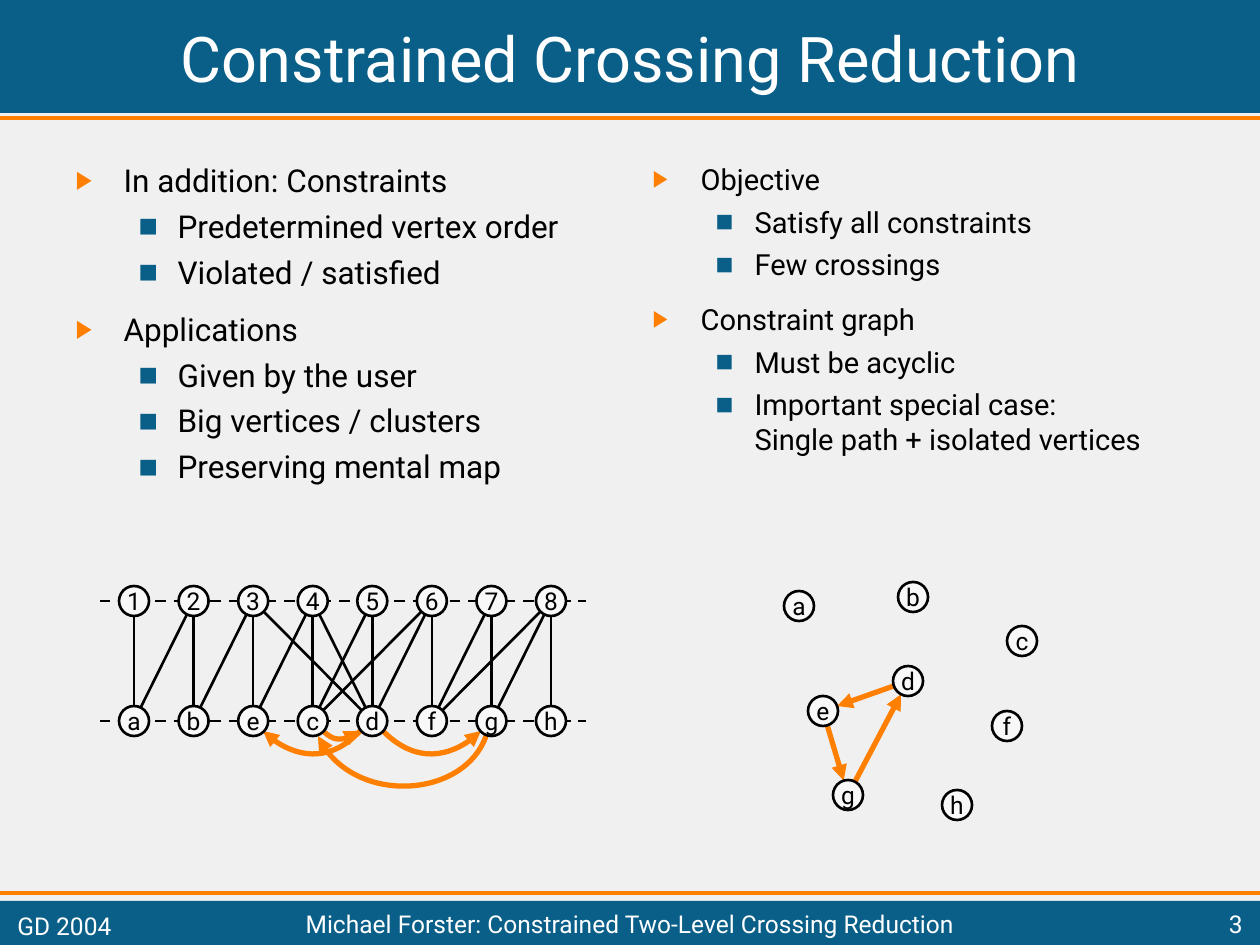
from math import hypot

from lxml.etree import SubElement
from pptx import Presentation
from pptx.dml.color import RGBColor
from pptx.enum.dml import MSO_LINE_DASH_STYLE as Dash
from pptx.enum.shapes import MSO_CONNECTOR as Link, MSO_SHAPE as Kind
from pptx.enum.text import MSO_ANCHOR as Anchor, MSO_AUTO_SIZE as Fit, PP_ALIGN as Align
from pptx.oxml.ns import qn
from pptx.util import Emu, Pt

BLUE = RGBColor(0x0A, 0x5F, 0x89)
ORANGE = RGBColor(0xFF, 0x7F, 0x00)
BLACK = RGBColor(0, 0, 0)
WHITE = RGBColor(0xFF, 0xFF, 0xFF)
PALE = RGBColor(0xF0, 0xF0, 0xF0)
LIGHT = RGBColor(0xF8, 0xF8, 0xF8)
FONT = "Roboto"
SCALE = 914400 / 126
WIDE, HIGH = 1260, 945

TITLE = "Constrained Crossing Reduction"
LISTS = [
    (63, 18, [
        (0, "In addition: Constraints"),
        (1, "Predetermined vertex order"),
        (1, "Violated / satisfied"),
        (0, "Applications"),
        (1, "Given by the user"),
        (1, "Big vertices / clusters"),
        (1, "Preserving mental map"),
    ]),
    (640, 16.6, [
        (0, "Objective"),
        (1, "Satisfy all constraints"),
        (1, "Few crossings"),
        (0, "Constraint graph"),
        (1, "Must be acyclic"),
        (1, "Important special case:\nSingle path + isolated vertices"),
    ]),
]
LEVELS = [
    ("▶", ORANGE, 80, 48, 48, 11.2),
    ("■", BLUE, 65, 102, 39, 4.5),
]
FOOTER = [
    ("GD 2004", (5, 906, 199, 39), Align.LEFT),
    ("Michael Forster: Constrained Two-Level Crossing Reduction",
     (164, 906, 932, 35), Align.CENTER),
    ("3", (1106, 906, 149, 35), Align.RIGHT),
]
BANDS = [(0, 113), (901, 44)]
RULES = [118, 893]

UPPER, LOWER = "12345678", "abecdfgh"
TOP, BASE = 601, 721
FIRST, LAST, RADIUS = 134, 551, 15
EDGES = "1a 2a 2b 3b 3e 3d 4e 4c 4d 5c 5d 6c 6d 6f 7f 7g 8f 8g 8h".split()
CURVES = [
    [(360, 731), (333, 760), (292, 760), (263, 731)],
    [(323, 731), (334, 741), (349, 741), (360, 731)],
    [(383, 731), (412, 760), (452, 760), (481, 731)],
    [(486, 736), (465, 796), (350, 806), (318, 736)],
]
GRAPH = {
    "a": (799, 606), "b": (913, 597), "c": (1022, 641), "d": (908, 681),
    "e": (823, 711), "f": (1007, 726), "g": (848, 795), "h": (957, 805),
}
ARCS = ["de", "eg", "gd"]


def px(n):
    return Emu(round(n * SCALE))


def write(para, text, size, color):
    for i, part in enumerate(text.split("\n")):
        if i:
            para.add_line_break()
        run = para.add_run()
        run.text = part
        run.font.name, run.font.size = FONT, Pt(size)
        run.font.color.rgb = color


def place(shape, *box):
    shape.left, shape.top, shape.width, shape.height = map(px, box)


def ink(shape, color, width, arrow=False):
    shape.line.color.rgb = color
    shape.line.width = Pt(width)
    if arrow:
        SubElement(shape.line._get_or_add_ln(), qn("a:tailEnd"), type="triangle")


def line(start, end, color, width, arrow=False):
    link = shapes.add_connector(Link.STRAIGHT, *map(px, start + end))
    ink(link, color, width, arrow)
    SubElement(link._element.spPr, qn("a:effectLst"))
    return link


def curve(points):
    pen = shapes.build_freeform(*points[0], scale=SCALE)
    pen.add_line_segments(points[1:], close=False)
    shape = pen.convert_to_shape()
    shape.shadow.inherit = False
    shape.fill.background()
    ink(shape, ORANGE, 3, True)
    route = shape._element.find(".//" + qn("a:path"))
    bend = SubElement(route, qn("a:cubicBezTo"))
    for step in route.findall(qn("a:lnTo")):
        bend.append(step[0])
        route.remove(step)


def node(name, spot):
    x, y = spot
    dot = shapes.add_shape(Kind.OVAL, *map(px, (x - RADIUS, y - RADIUS, 2 * RADIUS, 2 * RADIUS)))
    dot.shadow.inherit = False
    dot.fill.solid()
    dot.fill.fore_color.rgb = LIGHT
    ink(dot, BLACK, 1.5)
    frame = dot.text_frame
    frame.word_wrap = False
    frame.vertical_anchor = Anchor.MIDDLE
    frame.paragraphs[0].alignment = Align.CENTER
    write(frame.paragraphs[0], name, 14, BLACK)


def fill_list(body, size, items):
    frame = body.text_frame
    frame.auto_size = Fit.NONE
    for i, (level, text) in enumerate(items):
        para = frame.add_paragraph() if i else frame.paragraphs[0]
        mark, color, share, left, hang, gap = LEVELS[level]
        para.level = level
        props = para._p.get_or_add_pPr()
        props.set("marL", str(px(left)))
        props.set("indent", str(-px(hang)))
        tint = SubElement(props, qn("a:buClr"))
        SubElement(tint, qn("a:srgbClr"), val=str(color))
        SubElement(props, qn("a:buSzPct"), val=str(share * 1000))
        SubElement(props, qn("a:buFont"), typeface=FONT)
        SubElement(props, qn("a:buChar"), char=mark)
        para.space_before = Pt(gap if i else 0)
        write(para, text, size, BLACK)


deck = Presentation()
deck.slide_width, deck.slide_height = px(WIDE), px(HIGH)
slide = deck.slides.add_slide(deck.slide_layouts[3])
shapes = slide.shapes
slide.background.fill.solid()
slide.background.fill.fore_color.rgb = PALE

for y, tall in BANDS:
    band = shapes.add_shape(Kind.RECTANGLE, *map(px, (0, y, WIDE, tall)))
    band.shadow.inherit = False
    band.fill.solid()
    band.fill.fore_color.rgb = BLUE
    band.line.fill.background()
for y in RULES:
    line((0, y), (WIDE, y), ORANGE, 2.25)

title, *bodies = list(slide.placeholders)
for holder in (title, *bodies):
    shapes._spTree.append(holder._element)
place(title, 5, 5, 1250, 105)
title.text_frame.vertical_anchor = Anchor.MIDDLE
title.text_frame.paragraphs[0].alignment = Align.CENTER
write(title.text_frame.paragraphs[0], TITLE, 36, WHITE)
for body, (x, size, items) in zip(bodies, LISTS):
    place(body, x, 155, 557, 348)
    fill_list(body, size, items)

for points in CURVES:
    curve(points)
spots = {}
for names, y in ((UPPER, TOP), (LOWER, BASE)):
    line((100, y), (586, y), BLACK, 1.5).line.dash_style = Dash.DASH
    pitch = (LAST - FIRST) / (len(names) - 1)
    spots.update({name: (FIRST + i * pitch, y) for i, name in enumerate(names)})
for a, b in EDGES:
    line(spots[a], spots[b], BLACK, 1.5)

for a, b in ARCS:
    (ax, ay), (bx, by) = GRAPH[a], GRAPH[b]
    trim = RADIUS / hypot(bx - ax, by - ay)
    dx, dy = (bx - ax) * trim, (by - ay) * trim
    line((ax + dx, ay + dy), (bx - dx, by - dy), ORANGE, 3, True)
for name, spot in [*spots.items(), *GRAPH.items()]:
    node(name, spot)

for text, box, side in FOOTER:
    frame = shapes.add_textbox(*map(px, box)).text_frame
    frame.word_wrap = True
    frame.vertical_anchor = Anchor.MIDDLE
    frame.paragraphs[0].alignment = side
    write(frame.paragraphs[0], text, 14, WHITE)

deck.save("out.pptx")
